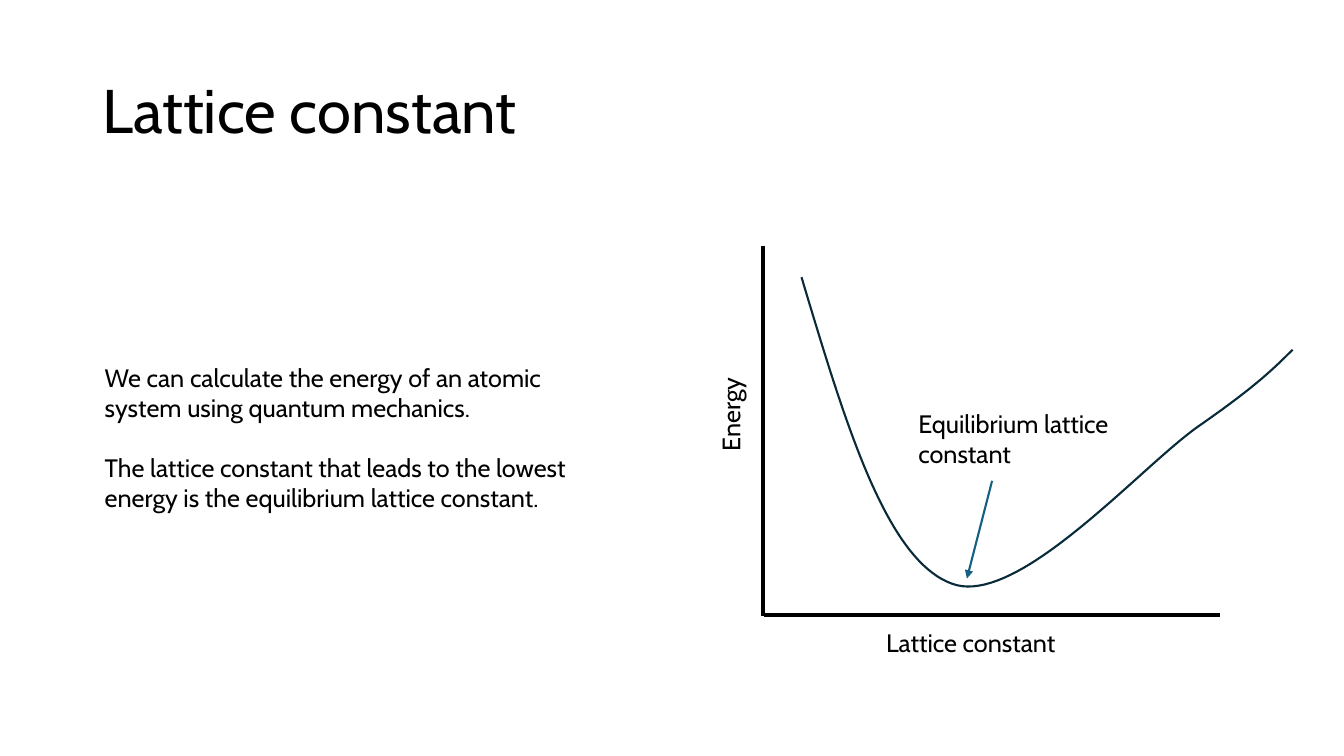
from dataclasses import dataclass

from lxml.etree import SubElement
from pptx import Presentation
from pptx.dml.color import RGBColor
from pptx.enum.shapes import MSO_CONNECTOR
from pptx.enum.text import MSO_ANCHOR
from pptx.oxml.ns import qn
from pptx.slide import Slide
from pptx.util import Inches, Pt

BLACK = RGBColor(0x00, 0x00, 0x00)
CURVE_NAVY = RGBColor(0x09, 0x2A, 0x39)
ARROW_BLUE = RGBColor(0x15, 0x60, 0x82)
FONT = "Cabin"
STEPS_PER_BEND = 40

Point = tuple[float, float]


@dataclass
class Label:
    paragraphs: list[str]
    left: float
    top: float
    width: float
    height: float
    size: int = 18
    rotation: int = 0
    anchor: MSO_ANCHOR = MSO_ANCHOR.TOP
    line_spacing: float = 1.0


@dataclass
class Line:
    start: Point
    end: Point
    color: RGBColor = BLACK
    width: float = 3
    arrow: bool = False


LABELS = [
    Label(["Lattice constant"], 0.92, 0.4, 11.5, 1.45, size=44,
          anchor=MSO_ANCHOR.MIDDLE, line_spacing=0.9),
    Label(["Energy"], 6.64, 3.77, 1.21, 0.4, rotation=270),
    Label(["Lattice constant"], 8.69, 6.17, 2.06, 0.4),
    Label(["Equilibrium lattice constant"], 9.01, 4, 2.32, 0.71),
    Label(["We can calculate the energy of an atomic system using quantum mechanics.",
           "The lattice constant that leads to the lowest energy is the equilibrium "
           "lattice constant."], 0.94, 3.54, 5, 1.62),
]
LINES = [
    Line((7.57, 2.44), (7.57, 6.11)),
    Line((12.1, 6.1), (7.58, 6.1)),
    Line((9.84, 4.77), (9.59, 5.74), ARROW_BLUE, 1.5, arrow=True),
]
CURVE_START = (7.95, 2.75)
CURVE_BENDS = [
    ((8.37, 4.15), (8.78, 5.55), (9.44, 5.79)),
    ((10.09, 6.04), (11.33, 4.61), (11.9, 4.22)),
    ((12.46, 3.83), (12.64, 3.65), (12.82, 3.47)),
]


def add_label(page: Slide, label: Label) -> None:
    box = page.shapes.add_textbox(Inches(label.left), Inches(label.top),
                                  Inches(label.width), Inches(label.height))
    box.rotation = label.rotation
    frame = box.text_frame
    frame.word_wrap = True
    frame.vertical_anchor = label.anchor
    for index, text in enumerate(label.paragraphs):
        para = frame.add_paragraph() if index else frame.paragraphs[0]
        para.line_spacing = label.line_spacing
        para.space_before = Pt(21.5 if index else 0)
        span = para.add_run()
        span.text = text
        span.font.color.rgb = BLACK
        for name, value in {"name": FONT, "size": Pt(label.size)}.items():
            setattr(span.font, name, value)


def add_line(page: Slide, line: Line) -> None:
    ends = [Inches(value) for value in (*line.start, *line.end)]
    connector = page.shapes.add_connector(MSO_CONNECTOR.STRAIGHT, *ends)
    connector.line.color.rgb = line.color
    connector.line.width = Pt(line.width)
    if line.arrow:
        outline = connector.line._get_or_add_ln()
        SubElement(outline, qn("a:tailEnd"), type="triangle")
    SubElement(connector._element.spPr, qn("a:effectLst"))


def bezier_point(controls: tuple[Point, ...], t: float) -> Point:
    weights = ((1 - t) ** 3, 3 * t * (1 - t) ** 2, 3 * t ** 2 * (1 - t), t ** 3)
    x, y = (sum(weight * point[axis] for weight, point in zip(weights, controls))
            for axis in (0, 1))
    return Inches(x), Inches(y)


def add_energy_curve(page: Slide) -> None:
    points = []
    start = CURVE_START
    for bend in CURVE_BENDS:
        points += [bezier_point((start, *bend), step / STEPS_PER_BEND)
                   for step in range(1, STEPS_PER_BEND + 1)]
        start = bend[-1]
    builder = page.shapes.build_freeform(*map(Inches, CURVE_START))
    builder.add_line_segments(points, close=False)
    curve = builder.convert_to_shape()
    curve.shadow.inherit = False
    curve.fill.background()
    curve.line.color.rgb = CURVE_NAVY
    curve.line.width = Pt(1.5)


def main() -> None:
    deck = Presentation()
    deck.slide_width, deck.slide_height = Inches(13.33), Inches(7.5)
    page = deck.slides.add_slide(deck.slide_layouts[6])
    for line in LINES:
        add_line(page, line)
    add_energy_curve(page)
    for label in LABELS:
        add_label(page, label)
    deck.save("out.pptx")


if __name__ == "__main__":
    main()
